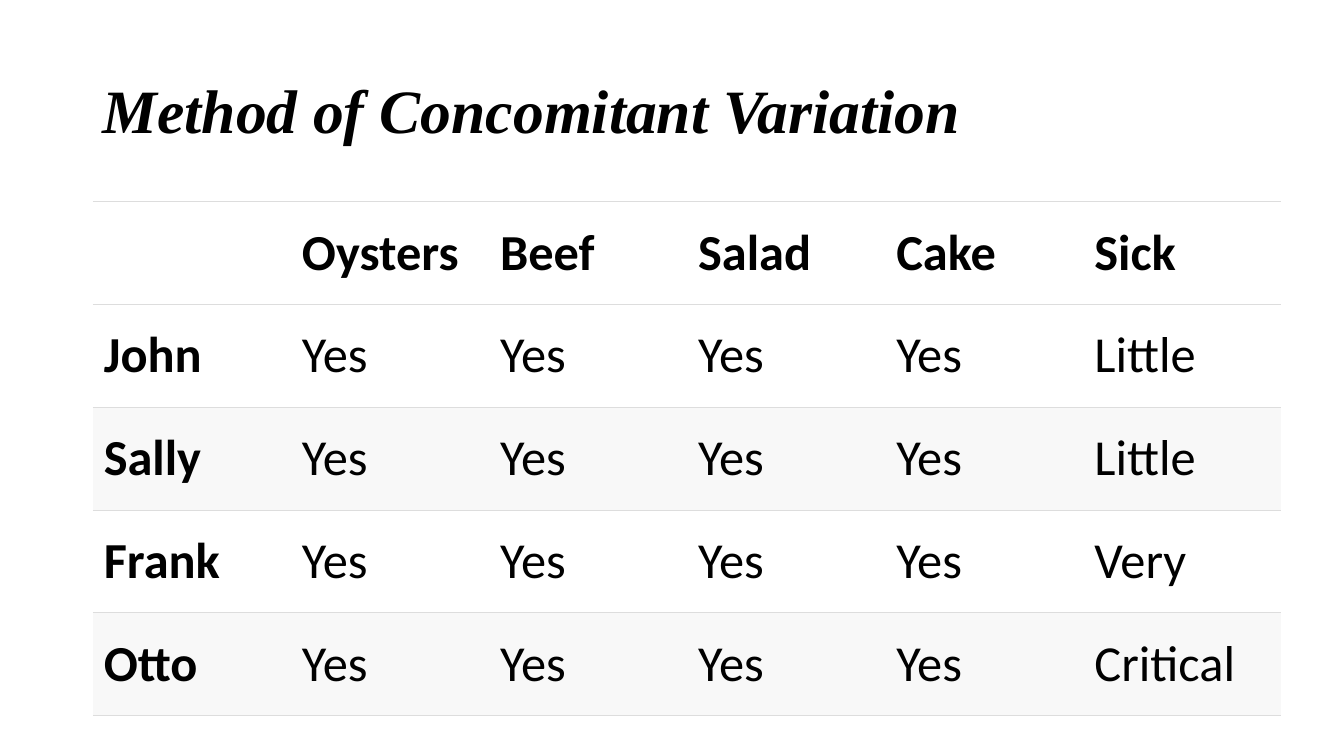
from pptx import Presentation
from pptx.dml.color import RGBColor as RGB
from pptx.enum.text import MSO_ANCHOR as Anchor
from pptx.oxml.ns import qn
from pptx.util import Inches, Pt
from lxml.etree import SubElement as Sub


class Theme:
    text = RGB.from_string("000000")
    fills = [RGB.from_string("FFFFFF"), RGB.from_string("F8F8F8")]
    rule = "DDDDDD"
    title_font, body_font = "Times New Roman", "Calibri"
    title_size, body_size = Pt(44), Pt(36)
    thin, thick = Pt(0.6), Pt(1.2)


def style(para, name, size, bold, italic=False):
    font = para.font
    font.name, font.size = name, size
    font.bold, font.italic = bold, italic
    font.color.rgb = Theme.text


def border(cell, side, width=None):
    """Draw a rule on one side of a cell, or clear it if no width is given."""
    line = Sub(cell._tc.get_or_add_tcPr(), qn(f"a:ln{side}"))
    if width is None:
        Sub(line, qn("a:noFill"))
    else:
        line.set("w", str(width))
        fill = Sub(line, qn("a:solidFill"))
        Sub(fill, qn("a:srgbClr")).set("val", Theme.rule)


deck = Presentation()
deck.slide_width, deck.slide_height = Inches(13.33), Inches(7.5)
slide = deck.slides.add_slide(deck.slide_layouts[6])

title = slide.shapes.add_textbox(Inches(0.92), Inches(0.4), Inches(11.5), Inches(1.45))
frame = title.text_frame
frame.word_wrap = True
frame.vertical_anchor = Anchor.MIDDLE
para = frame.paragraphs[0]
para.text = "Method of Concomitant Variation"
para.line_spacing = 0.9
style(para, Theme.title_font, Theme.title_size, True, True)

foods = ["Oysters", "Beef", "Salad", "Cake"]
guests = {"John": "Little", "Sally": "Little", "Frank": "Very", "Otto": "Critical"}
rows = [["", *foods, "Sick"]]
rows += [[name, *["Yes"] * len(foods), state] for name, state in guests.items()]

col_w, row_h = Inches(1.965), Inches(1.02)
count = len(rows[0])
table = slide.shapes.add_table(
    len(rows), count, Inches(0.92), Inches(2), col_w * count, row_h * len(rows)
).table
table.first_row = table.horz_banding = False
for col in table.columns:
    col.width = col_w

for r, row in enumerate(rows):
    table.rows[r].height = row_h
    shade = Theme.fills[r > 0 and r % 2 == 0]
    base = Theme.thick if r == len(rows) - 1 else Theme.thin
    for c, text in enumerate(row):
        cell = table.cell(r, c)
        cell.vertical_anchor = Anchor.MIDDLE
        cell.margin_left = cell.margin_right = Inches(0.11)
        cell.margin_top = cell.margin_bottom = Inches(0.05)
        for side, width in [("L", None), ("R", None), ("T", Theme.thin), ("B", base)]:
            border(cell, side, width)
        cell.fill.solid()
        cell.fill.fore_color.rgb = shade
        para = cell.text_frame.paragraphs[0]
        para.text = text
        style(para, Theme.body_font, Theme.body_size, r == 0 or c == 0)

deck.save("out.pptx")
